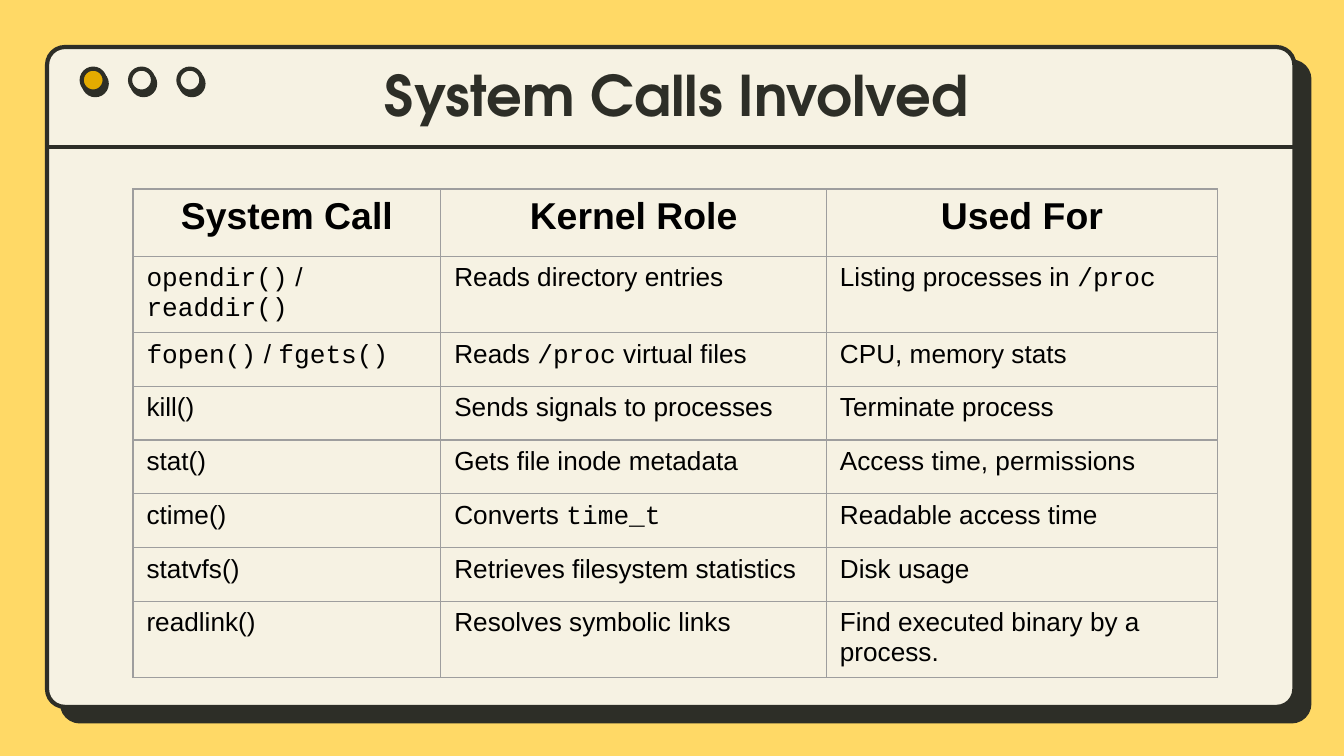
from dataclasses import dataclass

from lxml.etree import SubElement
from pptx import Presentation
from pptx.dml.color import RGBColor
from pptx.enum.shapes import MSO_CONNECTOR, MSO_SHAPE
from pptx.enum.text import MSO_ANCHOR, PP_ALIGN
from pptx.oxml.ns import qn
from pptx.util import Pt


@dataclass(frozen=True)
class Theme:
    """Colours, fonts and sizes of the slide."""
    background: str = "FFD966"
    paper: str = "F6F2E3"
    ink: str = "2D2E27"
    accent: str = "E4AB00"
    text: str = "000000"
    border: str = "9E9E9E"
    title_font: str = "TeX Gyre Adventor"
    body_font: str = "Arial"
    code_font: str = "Courier New"
    title_size: float = 30
    header_size: float = 20
    body_size: float = 14
    outline: float = 2.25
    border_width: float = 0.75


THEME = Theme()
HEADERS = ["System Call", "Kernel Role", "Used For"]
ROWS = [
    ["`opendir()` / `readdir()`", "Reads directory entries", "Listing processes in `/proc`"],
    ["`fopen()` / `fgets()`", "Reads `/proc` virtual files", "CPU, memory stats"],
    ["kill()", "Sends signals to processes", "Terminate process"],
    ["stat()", "Gets file inode metadata", "Access time, permissions"],
    ["ctime()", "Converts `time_t`", "Readable access time"],
    ["statvfs()", "Retrieves filesystem statistics", "Disk usage"],
    ["readlink()", "Resolves symbolic links", "Find executed binary by a process."],
]
COLUMN_WIDTHS = [164.9, 206.6, 209.5]
ROW_HEIGHTS = [36] + [28.8] * 6 + [40.3]


def color(value):
    """Return a colour object for a hexadecimal string."""
    return RGBColor.from_string(value)


def write_text(frame, text, *, size, font=THEME.body_font, ink=THEME.text,
               bold=False, align=PP_ALIGN.LEFT):
    """Write one paragraph, setting parts between backticks in the code font."""
    paragraph = frame.paragraphs[0]
    paragraph.alignment = align
    for index, part in enumerate(text.split("`")):
        if part:
            run = paragraph.add_run()
            run.text = part
            run.font.name = THEME.code_font if index % 2 else font
            run.font.size = Pt(size)
            run.font.bold = bold
            run.font.color.rgb = color(ink)


def add_panel(slide, kind, left, top, width, height, *, fill, distance, angle):
    """Add an outlined shape with a hard offset shadow."""
    shape = slide.shapes.add_shape(kind, Pt(left), Pt(top), Pt(width), Pt(height))
    shape.fill.solid()
    shape.fill.fore_color.rgb = color(fill)
    shape.line.color.rgb = color(THEME.ink)
    shape.line.width = Pt(THEME.outline)
    shape.shadow.inherit = False
    effects = shape.element.spPr.find(qn("a:effectLst"))
    shadow = SubElement(effects, qn("a:outerShdw"), blurRad="0", dist=str(Pt(distance)),
                        dir=str(angle * 60000), algn="bl", rotWithShape="0")
    SubElement(shadow, qn("a:srgbClr"), val=THEME.ink)
    return shape


def add_rule(slide, left, right, top):
    """Add a horizontal line without a shadow."""
    rule = slide.shapes.add_connector(
        MSO_CONNECTOR.STRAIGHT, Pt(left), Pt(top), Pt(right), Pt(top))
    rule.line.color.rgb = color(THEME.ink)
    rule.line.width = Pt(THEME.outline)
    SubElement(rule.element.spPr, qn("a:effectLst"))


def add_window(slide):
    """Add the window panel with its title bar line and three buttons."""
    window = add_panel(slide, MSO_SHAPE.ROUNDED_RECTANGLE, 25.2, 25.2, 668.2, 353.5,
                       fill=THEME.paper, distance=11.2, angle=44)
    window.adjustments[0] = 0.027
    add_rule(slide, 25.9, 693.4, 78.6)
    for index, fill in enumerate([THEME.accent, THEME.paper, THEME.paper]):
        add_panel(slide, MSO_SHAPE.OVAL, 43.8 + 25.9 * index, 36.8, 12.3, 12.3,
                  fill=fill, distance=2.2, angle=60)


def add_title(slide, text):
    """Add the bottom-anchored, centred title."""
    frame = slide.shapes.add_textbox(Pt(59), Pt(34.6), Pt(607), Pt(41)).text_frame
    frame.word_wrap = True
    frame.vertical_anchor = MSO_ANCHOR.BOTTOM
    frame.margin_left = frame.margin_right = Pt(7.2)
    frame.margin_top = frame.margin_bottom = Pt(7.2)
    write_text(frame, text, size=THEME.title_size, font=THEME.title_font,
               ink=THEME.ink, bold=True, align=PP_ALIGN.CENTER)


def set_borders(cell):
    """Draw a thin line on all four sides of a cell."""
    properties = cell._tc.get_or_add_tcPr()
    for index, side in enumerate(["a:lnL", "a:lnR", "a:lnT", "a:lnB"]):
        line = properties.makeelement(qn(side), {"w": str(Pt(THEME.border_width))})
        fill = SubElement(line, qn("a:solidFill"))
        SubElement(fill, qn("a:srgbClr"), val=THEME.border)
        properties.insert(index, line)


def add_call_table(slide):
    """Add the table of system calls."""
    table = slide.shapes.add_table(
        len(ROW_HEIGHTS), len(COLUMN_WIDTHS), Pt(71.3), Pt(101.3),
        Pt(sum(COLUMN_WIDTHS)), Pt(sum(ROW_HEIGHTS))).table
    table.first_row = table.horz_banding = False
    for column, width in zip(table.columns, COLUMN_WIDTHS):
        column.width = Pt(width)
    for row, height, texts in zip(table.rows, ROW_HEIGHTS, [HEADERS] + ROWS):
        row.height = Pt(height)
        for cell, text in zip(row.cells, texts):
            if texts is HEADERS:
                cell.fill.solid()
                cell.fill.fore_color.rgb = color(THEME.paper)
                write_text(cell.text_frame, text, size=THEME.header_size,
                           bold=True, align=PP_ALIGN.CENTER)
            else:
                cell.fill.background()
                write_text(cell.text_frame, text, size=THEME.body_size)
            set_borders(cell)


def main():
    """Build and save the slide."""
    presentation = Presentation()
    presentation.slide_width, presentation.slide_height = Pt(720), Pt(405)
    slide = presentation.slides.add_slide(presentation.slide_layouts[6])
    slide.background.fill.solid()
    slide.background.fill.fore_color.rgb = color(THEME.background)
    add_window(slide)
    add_title(slide, "System Calls Involved")
    add_call_table(slide)
    presentation.save("out.pptx")


if __name__ == "__main__":
    main()
